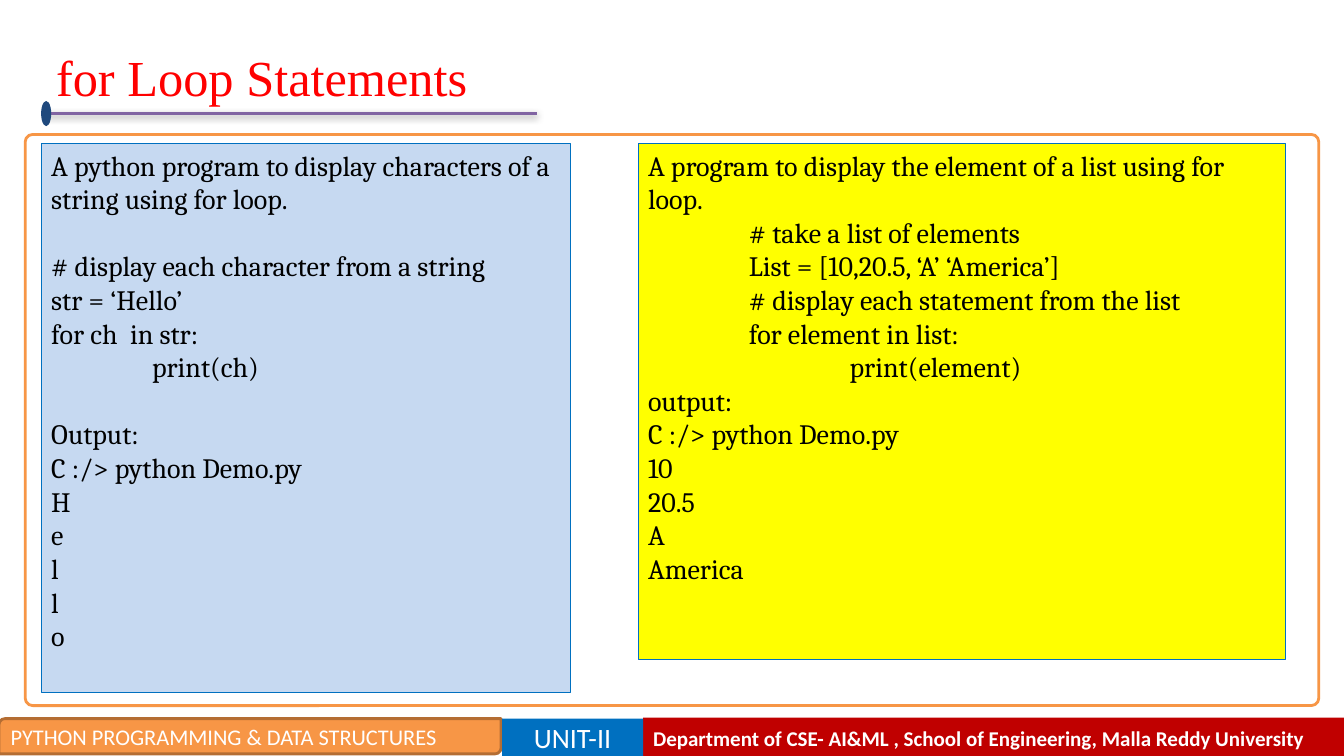
from lxml import etree
from pptx import Presentation
from pptx.dml.color import RGBColor
from pptx.enum.shapes import MSO_CONNECTOR, MSO_SHAPE
from pptx.enum.text import MSO_ANCHOR, PP_ALIGN
from pptx.oxml.ns import qn
from pptx.util import Pt

RECT, ROUNDED = MSO_SHAPE.RECTANGLE, MSO_SHAPE.ROUNDED_RECTANGLE
DIAGONAL, OVAL = MSO_SHAPE.ROUND_2_DIAG_RECTANGLE, MSO_SHAPE.OVAL
STRAIGHT = MSO_CONNECTOR.STRAIGHT
TOP, MIDDLE = MSO_ANCHOR.TOP, MSO_ANCHOR.MIDDLE
LEFT, CENTER = PP_ALIGN.LEFT, PP_ALIGN.CENTER

COLORS = {
    "title": "FF0000", "rule": "8064A2", "knob": "1F497D", "orange": "F79646",
    "brown": "B46D33", "blue": "0070C0", "red": "C00000", "pale": "C6D9F1",
    "yellow": "FFFF00", "black": "000000", "white": "FFFFFF",
}
INDENT = 72
LINE_HEIGHT = 24

# Each line of a panel: text, indent level, blank lines above
STRING_LINES = [
    ("A python program to display characters of a string using for loop.", 0, 0),
    ("# display each character from a string", 0, 1),
    ("str = ‘Hello’", 0, 0),
    ("for ch  in str:", 0, 0),
    ("print(ch)", 1, 0),
    ("Output:", 0, 1),
    ("C :/> python Demo.py", 0, 0),
    *[(letter, 0, 0) for letter in "Hello"],
]
LIST_LINES = [
    ("A program to display the element of a list using for loop.", 0, 0),
    ("# take a list of elements", 1, 0),
    ("List = [10,20.5, ‘A’ ‘America’]", 1, 0),
    ("# display each statement from the list", 1, 0),
    ("for element in list:", 1, 0),
    ("print(element)", 2, 0),
    ("output:", 0, 0),
    ("C :/> python Demo.py", 0, 0),
    *[(value, 0, 0) for value in ("10", "20.5", "A", "America")],
]


def color(name):
    return RGBColor.from_string(COLORS[name])


def add_block(slide, kind, box, fill=None, line=None, width=0.75, adjust=()):
    block = slide.shapes.add_shape(kind, *map(Pt, box))
    block.shadow.inherit = False
    for index, value in enumerate(adjust):
        block.adjustments[index] = value
    if fill:
        block.fill.solid()
        block.fill.fore_color.rgb = color(fill)
    else:
        block.fill.background()
    if line:
        block.line.color.rgb = color(line)
        block.line.width = Pt(width)
    else:
        block.line.fill.background()
    return block


def write(block, lines, font, size, ink, bold=False, anchor=MIDDLE, align=LEFT):
    frame = block.text_frame
    frame.word_wrap = True
    frame.vertical_anchor = anchor
    for index, (text, level, gap) in enumerate(lines):
        paragraph = frame.paragraphs[0] if index == 0 else frame.add_paragraph()
        if level:
            paragraph._p.get_or_add_pPr().set("marL", str(Pt(level * INDENT)))
        if gap:
            paragraph.space_before = Pt(gap * LINE_HEIGHT)
        paragraph.alignment = align
        run = paragraph.add_run()
        run.text = text
        for name, value in {"name": font, "size": Pt(size), "bold": bold}.items():
            setattr(run.font, name, value)
        run.font.color.rgb = color(ink)


def add_rule_shadow(rule):
    effects = etree.SubElement(rule._element.spPr, qn("a:effectLst"))
    shadow = etree.SubElement(effects, qn("a:outerShdw"), blurRad=str(Pt(5)),
                              dist=str(Pt(1.6)), dir="5400000", rotWithShape="0")
    tint = etree.SubElement(shadow, qn("a:srgbClr"), val=COLORS["black"])
    etree.SubElement(tint, qn("a:alpha"), val="38000")


def add_heading(slide, left, top, width, height):
    # Title
    title = slide.shapes.add_textbox(*map(Pt, (left, top, width, height)))
    write(title, [("for Loop Statements", 0, 0)], "Times New Roman", 36, "title")
    title.text_frame.margin_left = Pt(16.2)

    # Underline with its knob
    rule_y = top + height + 2.7
    rule = slide.shapes.add_connector(
        STRAIGHT, Pt(left + 10), Pt(rule_y), Pt(left + 360), Pt(rule_y))
    rule.line.color.rgb = color("rule")
    rule.line.width = Pt(2)
    add_rule_shadow(rule)
    add_block(slide, OVAL, (left + 5.6, rule_y - 9, 7.2, 18), "knob")


def add_examples(slide, left, top, width, height):
    # Frame
    add_block(slide, ROUNDED, (left, top, width, height), None, "orange", 2, [0.013])

    # Program panels
    panels = [(11.5, 378, 392.4, "pale", STRING_LINES),
              (437.8, 462.2, 368.6, "yellow", LIST_LINES)]
    for offset, panel_width, panel_height, fill, lines in panels:
        box = (left + offset, top + 6.2, panel_width, panel_height)
        panel = add_block(slide, RECT, box, fill, "blue")
        write(panel, lines, "Cambria", 20, "black", anchor=TOP)


def add_footer(slide, left, top, width, height):
    course_width, unit_width = 358.6, 100.8
    unit_left = left + course_width
    department_left = unit_left + unit_width
    department = add_block(
        slide, RECT, (department_left, top, left + width - department_left, height), "red")
    write(department,
          [("Department of CSE- AI&ML , School of Engineering, Malla Reddy University", 0, 0)],
          "Calibri", 15, "white", bold=True)
    course = add_block(slide, DIAGONAL, (left - 0.7, top + 0.7, course_width, 25.2),
                       "orange", "brown", 2, [0.167, 0])
    write(course, [("PYTHON PROGRAMMING & DATA STRUCTURES", 0, 0)], "Calibri", 16, "white")
    unit = add_block(slide, RECT, (unit_left, top + 0.7, unit_width, 27.2), "blue")
    write(unit, [("UNIT-II", 0, 0)], "Calibri", 20, "white", align=CENTER)


def main():
    deck = Presentation()
    deck.slide_width, deck.slide_height = Pt(960), Pt(540)
    slide = deck.slides.add_slide(deck.slide_layouts[6])
    add_footer(slide, 0, 512.6, 960, 28.8)
    add_heading(slide, 23.8, 30.2, 401.8, 48.2)
    add_examples(slide, 18, 96, 924, 408)
    deck.save("out.pptx")


if __name__ == "__main__":
    main()
